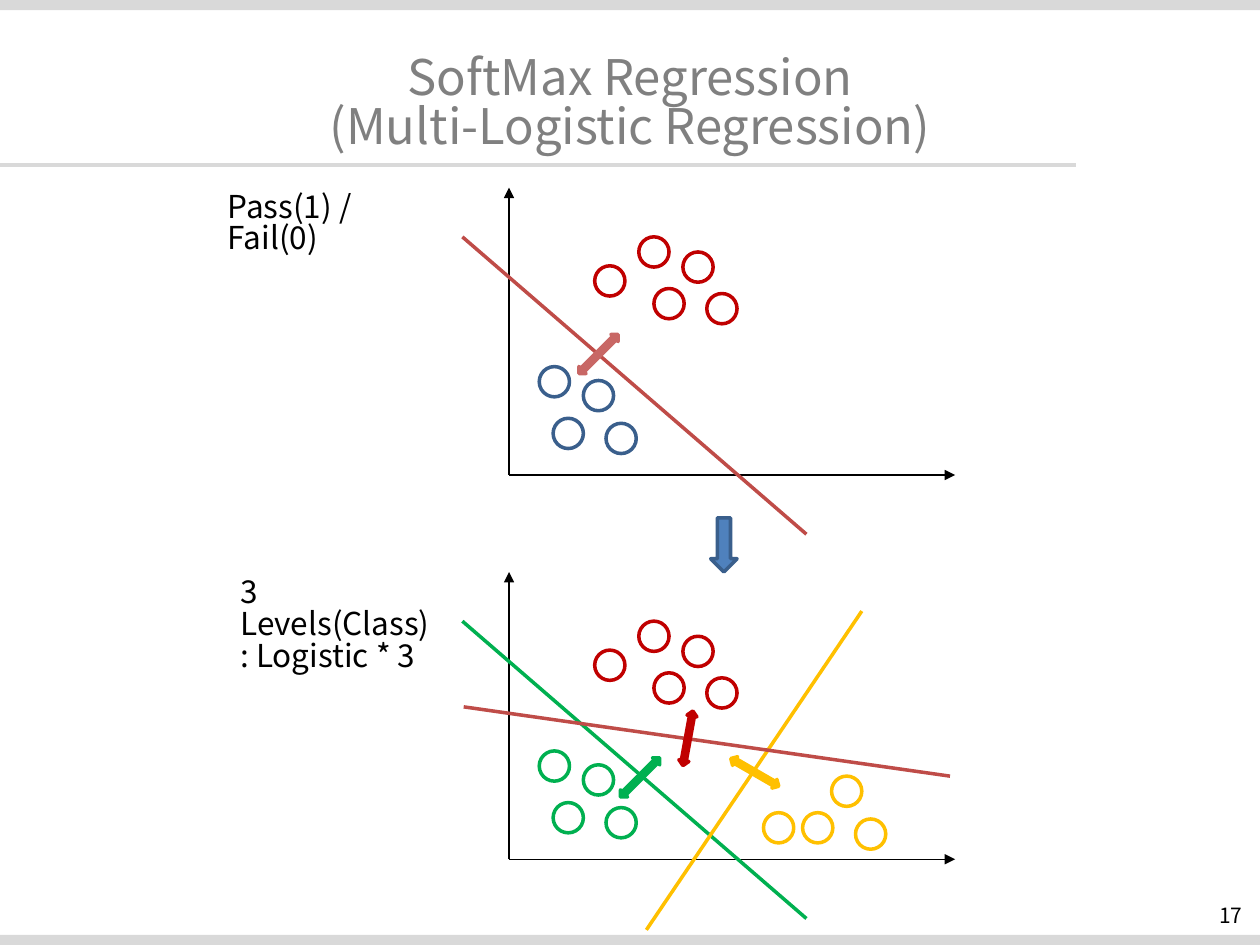
from lxml import etree
from pptx import Presentation
from pptx.dml.color import RGBColor
from pptx.enum.shapes import MSO_CONNECTOR, MSO_SHAPE
from pptx.enum.text import MSO_ANCHOR as ANCHOR, PP_ALIGN as ALIGN
from pptx.oxml.ns import qn
from pptx.util import Inches, Pt

BLACK = RGBColor(0x00, 0x00, 0x00)
GRAY = RGBColor(0x80, 0x80, 0x80)
LIGHT_GRAY = RGBColor(0xD9, 0xD9, 0xD9)
NAVY = RGBColor(0x3A, 0x5F, 0x8C)
BLUE = RGBColor(0x4F, 0x81, 0xBD)
RED = RGBColor(0xC0, 0x00, 0x00)
BRICK = RGBColor(0xBF, 0x4C, 0x48)
ROSE = RGBColor(0xC8, 0x67, 0x65)
GREEN = RGBColor(0x00, 0xB0, 0x50)
YELLOW = RGBColor(0xFF, 0xC0, 0x00)

FONT = "Noto Sans CJK KR"
PLOT_STEP = 3.05
CIRCLE = 0.24

presentation = Presentation()
presentation.slide_width = Inches(10)
presentation.slide_height = Inches(7.5)
slide = presentation.slides.add_slide(presentation.slide_layouts[6])


def add_line(shapes, start, end, color, width=2, arrow=False):
    line = shapes.add_connector(
        MSO_CONNECTOR.STRAIGHT, *[Inches(value) for value in (*start, *end)])
    line.line.color.rgb = color
    line.line.width = Pt(width)
    if arrow:
        etree.SubElement(line.line._get_or_add_ln(), qn("a:tailEnd"), type="triangle")
    etree.SubElement(line._element.spPr, qn("a:effectLst"))


def add_figure(kind, box, fill=None, outline=None, rotation=0):
    shape = slide.shapes.add_shape(kind, *[Inches(value) for value in box])
    shape.shadow.inherit = False
    shape.rotation = rotation
    if fill is None:
        shape.fill.background()
    else:
        shape.fill.solid()
        shape.fill.fore_color.rgb = fill
    if outline is None:
        shape.line.fill.background()
    else:
        shape.line.color.rgb = outline
        shape.line.width = Pt(2)


for top in (0, 7.42):
    add_figure(MSO_SHAPE.RECTANGLE, (0, top, 10, 0.08), LIGHT_GRAY)

texts = [
    ((1.14, 0.52, 7.72, 0.63), ["SoftMax Regression\v(Multi-Logistic Regression)"],
     28, GRAY, ALIGN.CENTER, ANCHOR.MIDDLE),
    ((7.63, 7.14, 2.33, 0.28), ["17"], 12, BLACK, ALIGN.RIGHT, ANCHOR.MIDDLE),
    ((1.71, 1.48, 1.87, 0.4), ["Pass(1) / Fail(0)"], 18, BLACK, ALIGN.LEFT, ANCHOR.TOP),
    ((1.81, 4.54, 1.86, 0.71), ["3 Levels(Class)", ": Logistic * 3"],
     18, BLACK, ALIGN.LEFT, ANCHOR.TOP),
]
for box, lines, size, color, alignment, anchor in texts:
    frame = slide.shapes.add_textbox(*[Inches(value) for value in box]).text_frame
    frame.word_wrap = True
    frame.vertical_anchor = anchor
    frame.text = "\n".join(lines)
    for paragraph in frame.paragraphs:
        paragraph.alignment = alignment
        paragraph.line_spacing = 0.84
        for name, value in {"name": FONT, "size": Pt(size)}.items():
            setattr(paragraph.font, name, value)
        paragraph.font.color.rgb = color

add_line(slide.shapes, (0, 1.31), (8.54, 1.31), LIGHT_GRAY)

lower_left = [(4.28, 2.91), (4.39, 3.32), (4.63, 3.02), (4.81, 3.36)]
upper = [(5.07, 1.88), (5.19, 2.29), (5.42, 2), (5.61, 2.33), (4.72, 2.11)]
lower_right = [(6.37, 3.4), (6.6, 3.11), (6.79, 3.45), (6.06, 3.4)]
plots = [
    (0, BRICK, [(lower_left, NAVY), (upper, RED)]),
    (PLOT_STEP, GREEN, [(lower_left, GREEN), (upper, RED), (lower_right, YELLOW)]),
]
for offset, boundary_color, clusters in plots:
    origin = (4.04, 3.77 + offset)
    axes = slide.shapes.add_group_shape()
    for end in ((4.04, 1.49 + offset), (7.58, 3.77 + offset)):
        add_line(axes.shapes, origin, end, BLACK, 0.75, arrow=True)
    for points, color in clusters:
        for left, top in points:
            add_figure(MSO_SHAPE.OVAL, (left, top + offset, CIRCLE, CIRCLE), outline=color)
    add_line(slide.shapes, (3.67, 1.88 + offset), (6.4, 4.24 + offset), boundary_color)

add_line(slide.shapes, (6.84, 4.85), (5.13, 7.38), YELLOW)
add_line(slide.shapes, (3.68, 5.61), (7.54, 6.16), BRICK)

margins = [
    (4.71, 2.59, 45, ROSE),
    (5.04, 5.95, 45, GREEN),
    (5.42, 5.64, 10.3, RED),
    (5.95, 5.91, 120, YELLOW),
]
for left, top, rotation, color in margins:
    add_figure(MSO_SHAPE.UP_DOWN_ARROW, (left, top, 0.08, 0.44), color, color, rotation)

add_figure(MSO_SHAPE.RIGHT_ARROW, (5.53, 4.22, 0.43, 0.21), BLUE, NAVY, 90)

presentation.save("out.pptx")
